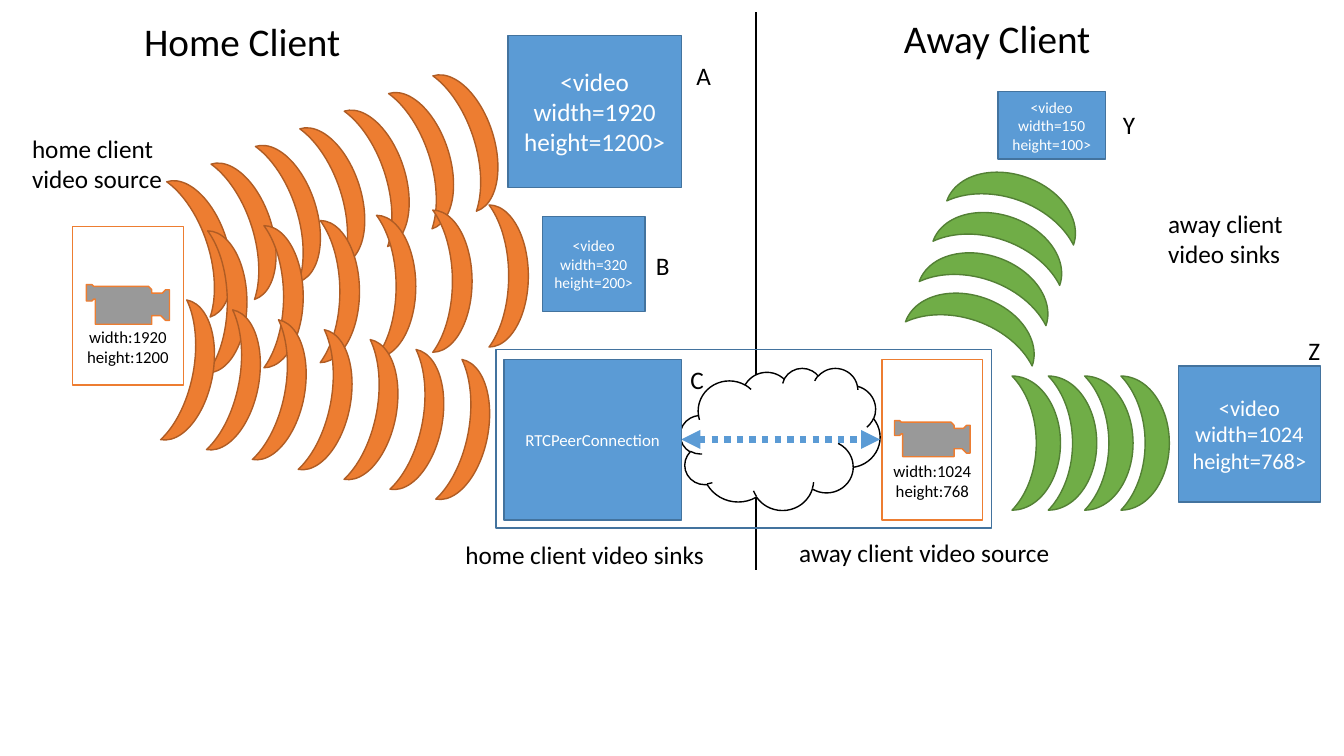
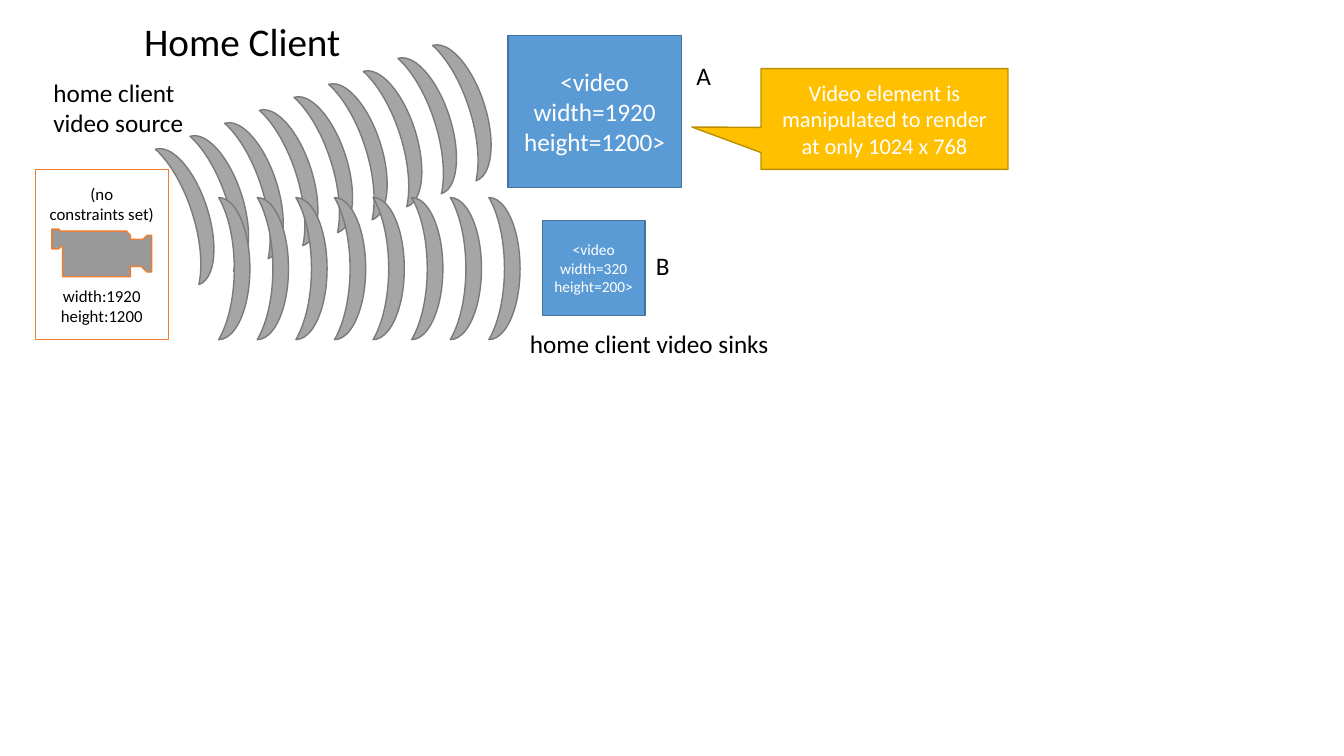
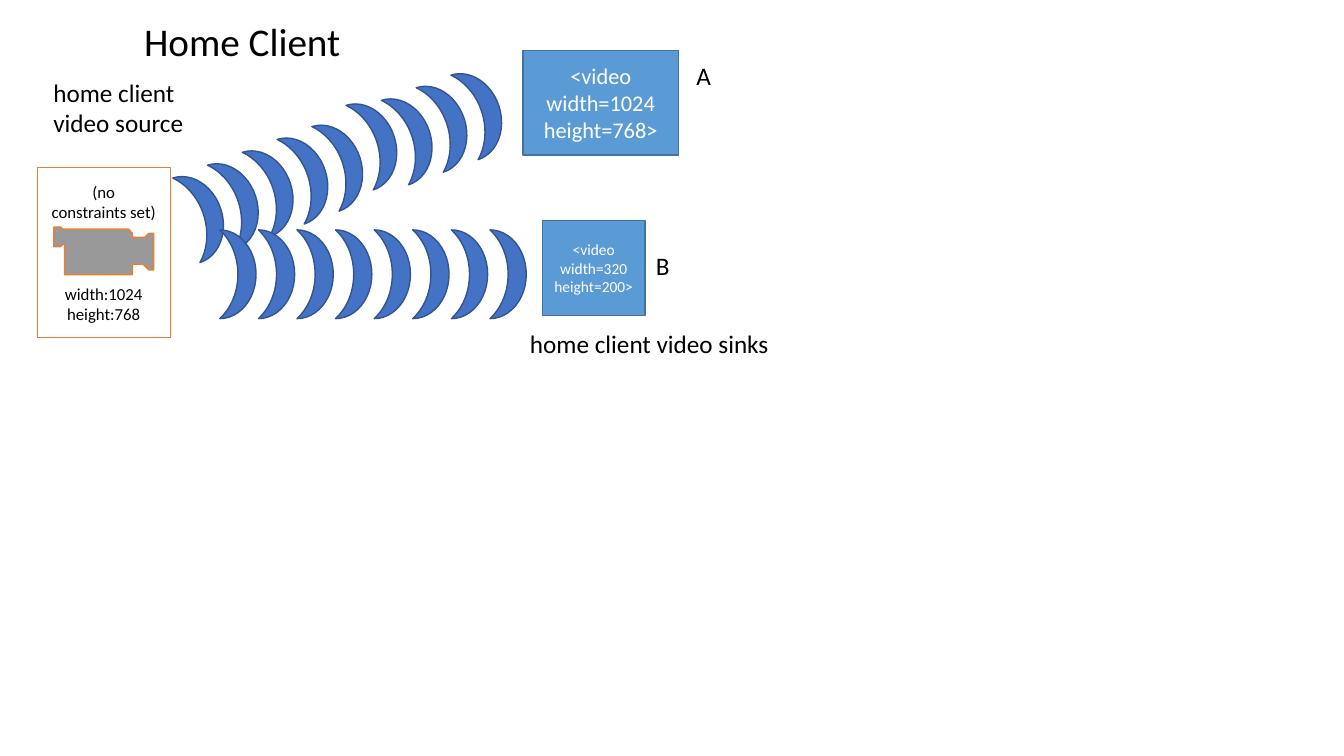
from lxml.etree import SubElement
from pptx import Presentation
from pptx.dml.color import RGBColor
from pptx.enum.dml import MSO_LINE
from pptx.enum.shapes import MSO_CONNECTOR, MSO_SHAPE
from pptx.enum.text import MSO_ANCHOR, MSO_AUTO_SIZE, PP_ALIGN
from pptx.oxml.ns import qn
from pptx.util import Pt

COLORS = {
    "black": "000000", "white": "FFFFFF",
    "blue": "5B9BD5", "blue_line": "43739E",
    "orange": "ED7D31", "orange_line": "AF5C24",
    "green": "70AD47", "green_line": "538035",
    "gray": "A5A5A5", "gray_line": "7A7A7A",
    "navy": "4472C4", "navy_line": "325491",
    "gold": "FFC000", "gold_line": "BD8E00",
}
FONT = "Calibri"
LINE_HEIGHT = 14.65  # one line of 12 pt text

prs = Presentation()
prs.slide_width, prs.slide_height = Pt(960), Pt(540)


def write(tf, text, size, color, align):
    tf.text = text
    for p in tf.paragraphs:
        p.alignment = align
        for r in p.runs:
            r.font.name = FONT
            r.font.size = Pt(size)
            r.font.color.rgb = RGBColor.from_string(COLORS[color])


def add_box(s, kind, x, y, w, h, fill, line, text="", size=12, color="white"):
    sp = s.shapes.add_shape(kind, Pt(x), Pt(y), Pt(w), Pt(h))
    sp.shadow.inherit = False
    if fill:
        sp.fill.solid()
        sp.fill.fore_color.rgb = RGBColor.from_string(COLORS[fill])
    else:
        sp.fill.background()
    sp.line.color.rgb = RGBColor.from_string(COLORS[line])
    sp.line.width = Pt(1)
    if text:
        sp.text_frame.vertical_anchor = MSO_ANCHOR.MIDDLE
        write(sp.text_frame, text, size, color, PP_ALIGN.CENTER)
    return sp


# Video boxes: text, size, x, y, w, h
full_video = ("<video\nwidth=1920\nheight=1200>", 18, 362.9, 25.2, 123.8, 108.7)
small_video = "<video\nwidth=320\nheight=200>"
medium_video = "<video\nwidth=1024\nheight=768>"
# Cameras: text, x, y, w, h
# Waves: count, x, y, step x, step y, w, h, rotation, colour
# Labels: text, x, y, w, h
slides = [
    {
        "videos": [
            full_video,
            (small_video, 11, 387.4, 154.8, 73.4, 67.7),
            ("RTCPeerConnection", 12, 360, 257, 126.7, 114.5),
            (medium_video, 16, 841.7, 261.4, 101.5, 97.2),
            ("<video\nwidth=150\nheight=100>", 11, 712.8, 65.5, 77, 48.2),
        ],
        "cameras": [
            ("width:1920\nheight:1200", 51.8, 162, 79.2, 113),
            ("width:1024\nheight:768", 630, 257, 72, 114.5),
        ],
        "waves": [
            (7, 133.9, 123.1, 31.7, -12.6, 28.1, 101.5, 162.2, "orange"),
            (6, 148.3, 164.9, 40.2, -3.7, 28.1, 101.5, 180, "orange"),
            (7, 123.8, 216, 32.76, 7.08, 28.1, 101.5, 190.6, "orange"),
            (4, 680.4, 181.4, 9.84, -28.8, 34.6, 95.8, 109.2, "green"),
            (4, 722.9, 268.6, 25.92, 0, 34.6, 95.8, 180, "green"),
        ],
        "labels": [
            ("home client\nvideo source", 15.8, 91.4, 108.7, 51.1),
            ("home client video sinks", 325.4, 381.6, 187.2, 28.8),
            ("away client video source", 563.8, 380.2, 197.3, 28.8),
            ("away client\nvideo sinks", 827.3, 145.4, 101.5, 51.1),
            ("C", 486, 257, 24.5, 28.8),
            ("Y", 794.9, 74.9, 23, 28.8),
            ("Z", 927.4, 236.2, 23, 28.8),
        ],
    },
    {
        "videos": [full_video, (small_video, 11, 387.4, 157.7, 73.4, 67.7)],
        "cameras": [
            ("(no\nconstraints set)\nwidth:1920\nheight:1200", 25.2, 121, 95, 121.7),
        ],
        "waves": [
            (9, 126, 100.8, 24.75, -9.27, 22.3, 101.5, 162.2, "gray"),
            (8, 156.2, 141.1, 27.57, 0, 22.3, 101.5, 180, "gray"),
        ],
        "labels": [
            ("home client\nvideo source", 31, 51.8, 108.7, 51.1),
            ("home client video sinks", 371.5, 231.1, 187.2, 28.8),
        ],
    },
    {
        "videos": [
            (medium_video, 16, 373.7, 36, 110.9, 74.9),
            (small_video, 11, 387.4, 157.7, 73.4, 67.7),
        ],
        "cameras": [
            ("(no\nconstraints set)\nwidth:1024\nheight:768", 26.6, 119.5, 95, 121.7),
        ],
        "waves": [
            (5, 132.5, 121.7, 24.84, -9.18, 25.9, 63.4, 162.2, "navy"),
            (1, 256.3, 69.8, 0, 0, 25.9, 63.4, 162.2, "navy"),
            (3, 281.5, 66.2, 24.84, -9, 25.9, 63.4, 162.2, "navy"),
            (8, 157, 164.2, 27.57, 0, 25.9, 63.4, 180, "navy"),
        ],
        "labels": [
            ("home client\nvideo source", 31, 51.8, 108.7, 51.1),
            ("home client video sinks", 371.5, 231.1, 187.2, 28.8),
        ],
    },
]
home_labels = [
    ("Home Client", 95.8, 8.6, 156.2, 41),
    ("A", 490.3, 39.6, 25.2, 28.8),
    ("B", 461.5, 175, 24.5, 28.8),
]
away_title = ("Away Client", 638.6, 6.5, 149, 41)

for number, content in enumerate(slides, 1):
    s = prs.slides.add_slide(prs.slide_layouts[6])
    labels = home_labels + content["labels"]

    # Divider and peer connection between the two clients
    if number == 1:
        labels.append(away_title)
        divider = s.shapes.add_connector(
            MSO_CONNECTOR.STRAIGHT, Pt(540), Pt(8.6), Pt(540), Pt(407.5))
        add_box(s, MSO_SHAPE.CLOUD, 486, 262.8, 142.6, 101.5, "white", "black")
        arrow = s.shapes.add_connector(
            MSO_CONNECTOR.STRAIGHT, Pt(486.7), Pt(313.9), Pt(628.6), Pt(313.9))
        for line, color, width in ((divider, "black", 1.5), (arrow, "blue", 4.5)):
            line.line.color.rgb = RGBColor.from_string(COLORS[color])
            line.line.width = Pt(width)
            SubElement(line._element.spPr, qn("a:effectLst"))
        arrow.line.dash_style = MSO_LINE.ROUND_DOT
        for end in ("a:headEnd", "a:tailEnd"):
            SubElement(arrow.line._get_or_add_ln(), qn(end), type="triangle")
        add_box(s, MSO_SHAPE.RECTANGLE, 354.2, 249.8, 354.2, 127.4, None, "blue_line")

    # Cameras, with room for the icon above the resolution
    for text, x, y, w, h in content["cameras"]:
        sp = add_box(s, MSO_SHAPE.ACTION_BUTTON_MOVIE, x, y, w, h,
                     "white", "orange", text, 12, "black")
        tf = sp.text_frame
        if len(tf.paragraphs) == 2:
            tf.margin_top = Pt(3.6 + 4 * LINE_HEIGHT)
        else:
            tf.paragraphs[2].space_before = Pt(3 * LINE_HEIGHT)

    # Video elements
    for text, size, x, y, w, h in content["videos"]:
        add_box(s, MSO_SHAPE.RECTANGLE, x, y, w, h, "blue", "blue_line", text, size)

    # Waves from source to sink
    for count, x, y, dx, dy, w, h, rotation, color in content["waves"]:
        for i in range(count):
            moon = add_box(s, MSO_SHAPE.MOON, x + i * dx, y + i * dy, w, h,
                           color, color + "_line")
            moon.rotation = rotation

    # Callout
    if number == 2:
        callout = add_box(
            s, MSO_SHAPE.RECTANGULAR_CALLOUT, 543.6, 49, 176.4, 72, "gold", "gold_line",
            "Video element is manipulated to render at only 1024 x 768", 16)
        callout.adjustments[0] = -0.78
        callout.adjustments[1] = 0.08

    # Titles and labels
    for text, x, y, w, h in labels:
        tf = s.shapes.add_textbox(Pt(x), Pt(y), Pt(w), Pt(h)).text_frame
        tf.word_wrap = False
        tf.auto_size = MSO_AUTO_SIZE.SHAPE_TO_FIT_TEXT
        size = 28 if text.endswith("Client") else 18
        write(tf, text, size, "black", PP_ALIGN.LEFT)

prs.save("out.pptx")
